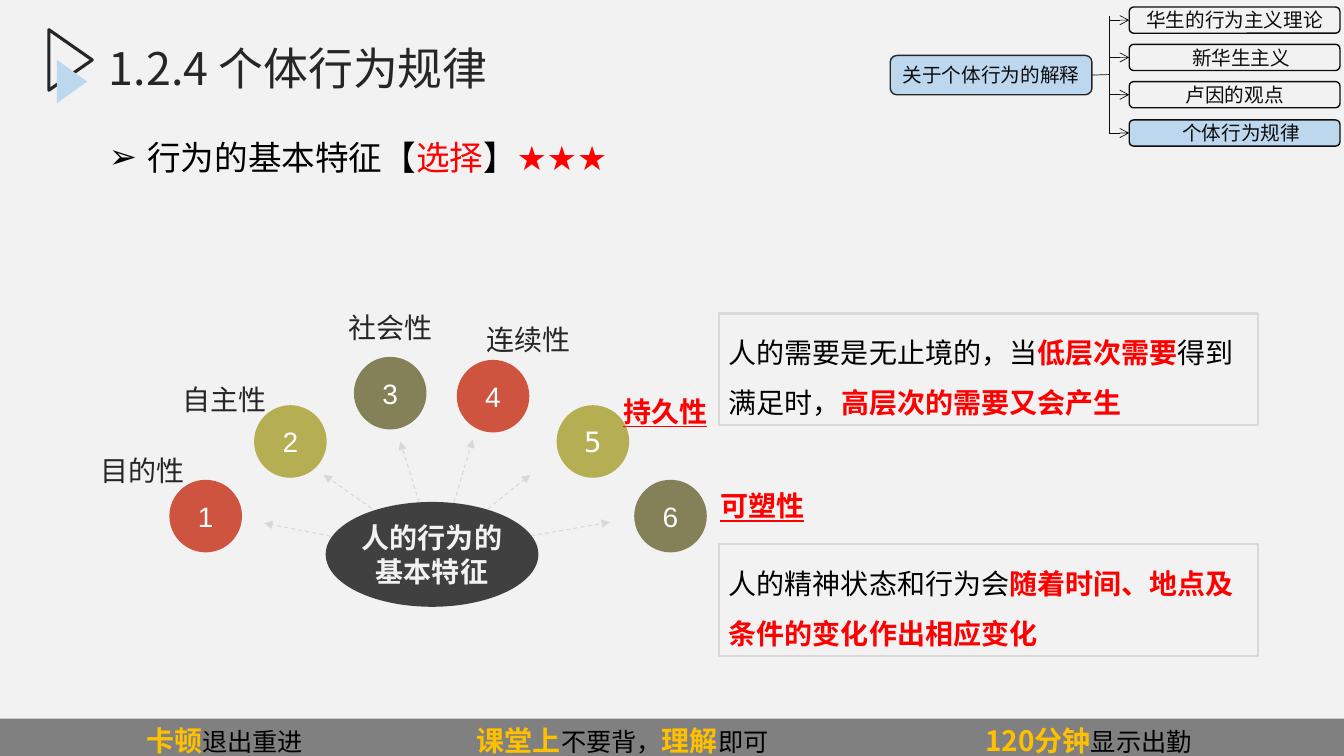
from lxml import etree
from pptx import Presentation
from pptx.dml.color import RGBColor
from pptx.enum.dml import MSO_LINE
from pptx.enum.shapes import MSO_CONNECTOR as Link, MSO_SHAPE as Kind
from pptx.enum.text import MSO_ANCHOR as Anchor, MSO_AUTO_SIZE as Fit, PP_ALIGN as Align
from pptx.oxml.ns import qn
from pptx.util import Pt

PX = 9144  # 100 px to the inch
CJK, SANS, ARIAL = "Noto Sans CJK SC", "DejaVu Sans", "Arial"
RED, GOLD, INK, DARK, SKY = "FF0000", "FFC000", "0D0D0D", "262626", "BDD7EE"


def px(*nums):
    return [round(n * PX) for n in nums]


def rgb(code):
    return RGBColor.from_string(code)


def add(node, tag, **attrs):
    return etree.SubElement(node, qn(tag), attrs)


class Deck:
    """Holds the text style and the current slide."""

    def __init__(self):
        self.prs = Presentation()
        self.prs.slide_width, self.prs.slide_height = px(1333, 750)
        self.slide = self.prs.slides.add_slide(self.prs.slide_layouts[1])
        self.font, self.size, self.color = CJK, 20, "000000"
        fill = self.slide.background.fill
        fill.solid()
        fill.fore_color.rgb = rgb("F2F2F2")

    def text(self, item, runs, align=Align.CENTER, anchor=Anchor.MIDDLE, gap=None,
             wrap=True, pad=None, fit=Fit.NONE, tabs=(), bullet=None, **style):
        """Fill one paragraph; each run is text or (text, style changes)."""
        frame = item.text_frame
        frame.word_wrap, frame.auto_size, frame.vertical_anchor = wrap, fit, anchor
        if pad:
            (frame.margin_left, frame.margin_top,
             frame.margin_right, frame.margin_bottom) = px(*pad)
        para = frame.paragraphs[0]
        para.alignment, para.space_before = align, Pt(0)
        if gap:
            para.line_spacing = gap
        props = para._p.get_or_add_pPr()
        if bullet:
            dent = px(38)[0]
            props.set("marL", str(dent))
            props.set("indent", str(-dent))
            add(props, "a:buFont", typeface=SANS)
            add(props, "a:buChar", char=bullet)
        if tabs:
            stops = add(props, "a:tabLst")
            for stop in px(*tabs):
                add(stops, "a:tab", pos=str(stop), algn="l")
        for part in runs:
            words, more = part if isinstance(part, tuple) else (part, {})
            look = {"font": self.font, "size": self.size, "color": self.color,
                    **style, **more}
            run = para.add_run()
            run.text = words
            font = run.font
            font.name, font.size = look["font"], Pt(look["size"])
            font.bold, font.underline = look.get("bold", False), look.get("under", False)
            font.color.rgb = rgb(look["color"])
            add(run._r.get_or_add_rPr(), "a:ea", typeface=look["font"])

    def shape(self, kind, box, fill=None, line=None, width=1, turn=0):
        item = self.slide.shapes.add_shape(kind, *px(*box))
        item.shadow.inherit = False
        item.rotation = turn
        if fill:
            item.fill.solid()
            item.fill.fore_color.rgb = rgb(fill)
        else:
            item.fill.background()
        if line:
            item.line.color.rgb = rgb(line)
            item.line.width = Pt(width)
        else:
            item.line.fill.background()
        return item

    def label(self, box, runs, **style):
        self.text(self.slide.shapes.add_textbox(*px(*box)), runs, **style)

    def holder(self, index, box, runs, **style):
        item = self.slide.placeholders[index]
        item.left, item.top, item.width, item.height = px(*box)
        self.text(item, runs, align=Align.LEFT, anchor=Anchor.TOP, gap=0.9, **style)

    def line(self, start, end, color=INK, width=0.5, dash=False, head=None):
        item = self.slide.shapes.add_connector(Link.STRAIGHT, *px(*start, *end))
        item.line.color.rgb = rgb(color)
        item.line.width = Pt(width)
        if dash:
            item.line.dash_style = MSO_LINE.DASH
        props = item._element.spPr
        if head:
            add(props.find(qn("a:ln")), "a:tailEnd", type=head)
        add(props, "a:effectLst")
        return item


def frame(deck):
    deck.shape(Kind.ISOSCELES_TRIANGLE, (40, 38, 60, 43), line=DARK, width=2.25, turn=90)
    deck.shape(Kind.ISOSCELES_TRIANGLE, (50, 66, 43, 30), fill=SKY, turn=90)
    foot = deck.shape(Kind.RECTANGLE, (-1, 713, 1334, 44), fill="808080")
    key = {"size": 20, "color": GOLD, "bold": True}
    deck.text(foot, [("卡顿", key), "退出重进\t", ("课堂上", key), "不要背，",
                     ("理解", key), "即可\t", ("120分钟", key), "显示出勤"],
              align=Align.LEFT, anchor=Anchor.TOP, pad=(146, 5, 10, 5),
              tabs=(328, 832), size=18)
    deck.holder(0, (98, 41, 1200, 93), ["1.2.4 个体行为规律"], size=32, color=DARK)
    red = {"color": RED}
    deck.holder(1, (98, 135, 1150, 584),
                ["行为的基本特征【", ("选择", red), "】", ("★★★", red)],
                bullet="➢", font=SANS, size=24)


def traits(deck):
    rust, olive, moss = "CF543F", "B5AE53", "848058"
    plain = {"color": DARK}
    strong = {"color": RED, "bold": True, "under": True}
    # name, disc corner, disc fill, label corner, label style, arrow start and end
    rows = [
        ("目的性", (168, 476), rust, (86, 435), plain, (384, 543), (262, 519)),
        ("自主性", (252, 402), olive, (168, 365), plain, (404, 529), (321, 471)),
        ("社会性", (351, 354), moss, (332, 293), plain, (422, 519), (397, 438)),
        ("连续性", (453, 357), rust, (469, 305), plain, (442, 526), (469, 436)),
        ("持久性", (552, 402), olive, (605, 376), strong, (456, 527), (526, 471)),
        ("可塑性", (629, 476), moss, (701, 470), strong, (484, 539), (605, 518)),
    ]
    for num, (name, disc, fill, spot, style, start, end) in enumerate(rows, 1):
        item = deck.shape(Kind.OVAL, (*disc, 72, 72), fill=fill)
        deck.text(item, [str(num)], wrap=False, color="FFFFFF",
                  font=SANS if num == 5 else ARIAL)
        deck.line(start, end, "D4DAD6", 0.75, dash=True, head="triangle")
        deck.label((*spot, 110, 49), [name], anchor=Anchor.TOP, gap=1.3, **style)
    hub = deck.shape(Kind.OVAL, (323, 498, 211, 104), fill="404040")
    deck.text(hub, ["人的行为的基本特征"], pad=(0, 0, 0, 0), color="F2F2F2", bold=True)


def notes(deck):
    key = {"color": RED, "bold": True}
    texts = [
        (311, ["人的需要是无止境的，当", ("低层次需要", key), "得到满足时，",
               ("高层次的需要又会产生", key)]),
        (540, ["人的精神状态和行为会", ("随着时间、地点及条件的变化作出相应变化", key)]),
    ]
    for top, runs in texts:
        item = deck.shape(Kind.RECTANGLE, (713, top, 535, 111), line="D9D9D9", width=1.5)
        deck.text(item, runs, align=Align.LEFT, anchor=Anchor.TOP, gap=1.5,
                  fit=Fit.SHAPE_TO_FIT_TEXT)


def tree(deck):
    style = {"size": 14, "color": INK}
    root = deck.shape(Kind.ROUNDED_RECTANGLE, (883, 55, 200, 39), fill=SKY, line=DARK)
    deck.text(root, ["关于个体行为的解释"], **style)
    deck.line((1083, 74), (1100, 74)).begin_connect(root, 3)
    deck.line((1100, 132), (1100, 16))
    # name, top, fill, left inset
    leaves = [("华生的行为主义理论", 7, None, 10), ("新华生主义", 44, None, 23),
              ("卢因的观点", 81, None, 10), ("个体行为规律", 119, SKY, 23)]
    for name, top, fill, left in leaves:
        leaf = deck.shape(Kind.ROUNDED_RECTANGLE, (1120, top, 209, 26), fill=fill, line=INK)
        deck.text(leaf, [name], pad=(left, 5, 10, 5), **style)
        mid = top + 13
        deck.line((1100, mid), (1120, mid), head="arrow").end_connect(leaf, 1)


def main():
    deck = Deck()
    for draw in (frame, traits, notes, tree):
        draw(deck)
    deck.prs.save("out.pptx")


if __name__ == "__main__":
    main()
